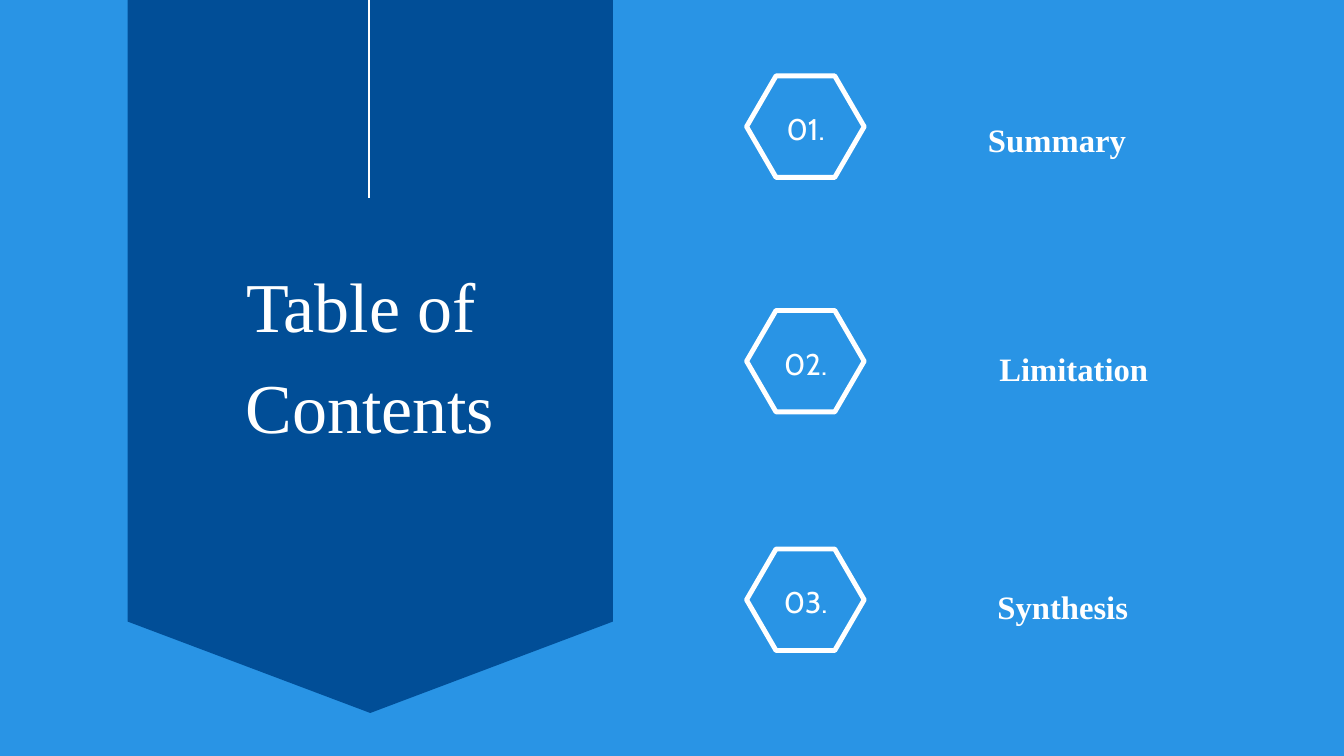
from pptx import Presentation
from pptx.dml.color import RGBColor as RGB
from pptx.enum.shapes import MSO_CONNECTOR as LINE, MSO_SHAPE as SHAPE
from pptx.enum.text import MSO_ANCHOR as ANCHOR, MSO_AUTO_SIZE as FIT, PP_ALIGN as ALIGN
from pptx.oxml.ns import qn
from pptx.util import Inches, Pt

COLORS = {"sky": "2994E5", "navy": "014E97", "white": "FFFFFF"}
SERIF = "Times New Roman"


def color(name):
    return RGB.from_string(COLORS[name])


def write(shape, text, size, face, bold=False, inset=0, anchor=ANCHOR.TOP):
    frame = shape.text_frame
    frame.text = text
    frame.word_wrap = True
    frame.auto_size = FIT.NONE
    frame.vertical_anchor = anchor
    frame.margin_left = frame.margin_right = Inches(inset)
    frame.margin_top = frame.margin_bottom = Inches(inset)
    for para in frame.paragraphs:
        para.alignment = ALIGN.CENTER
        para.line_spacing = 1.2
        para.space_before = Pt(0)
        for run in para.runs:
            run.font.size = Pt(size)
            run.font.name = face
            run.font.bold = bold
            run.font.color.rgb = color("white")


deck = Presentation()
deck.slide_width = Inches(20)
deck.slide_height = Inches(11.25)
slide = deck.slides.add_slide(deck.slide_layouts[5])
slide.background.fill.solid()
slide.background.fill.fore_color.rgb = color("sky")
shapes = slide.shapes

items = [
    ("01.", 1.13, "Summary", 13.85, 1.66, 3.76),
    ("02.", 4.62, "Limitation", 14.1, 5.07, 3.76),
    ("03.", 8.17, "Synthesis", 13.66, 8.62, 4.31),
]
for number, top, label, left, label_top, width in items:
    hexagon = shapes.add_shape(
        SHAPE.HEXAGON, Inches(11.11), Inches(top), Inches(1.75), Inches(1.51))
    hexagon.adjustments[0] = 0.29
    hexagon.shadow.inherit = False
    hexagon.fill.background()
    hexagon.line.color.rgb = color("white")
    hexagon.line.width = Pt(5.25)

    box = shapes.add_textbox(
        Inches(11.36), Inches(top - 0.03), Inches(1.26), Inches(1.53))
    write(box, number, 32, "Cabin", inset=0.06, anchor=ANCHOR.MIDDLE)

    box = shapes.add_textbox(
        Inches(left), Inches(label_top), Inches(width), Inches(0.59))
    write(box, label, 35, SERIF, bold=True)

points = [(9.12, 0), (9.12, 9.25), (5.51, 10.61), (1.9, 9.25)]
pen = shapes.build_freeform(Inches(1.9), Inches(0))
pen.add_line_segments([(Inches(x), Inches(y)) for x, y in points], close=True)
banner = pen.convert_to_shape()
banner.shadow.inherit = False
banner.fill.solid()
banner.fill.fore_color.rgb = color("navy")
banner.line.fill.background()

title = shapes.title
title.left, title.top = Inches(2.05), Inches(3.66)
title.width, title.height = Inches(6.91), Inches(2.51)
write(title, "Table of \nContents", 75, SERIF)
title.element.getparent().append(title.element)

cord = shapes.add_connector(
    LINE.STRAIGHT, Inches(5.49), Inches(0), Inches(5.49), Inches(2.95))
cord.line.color.rgb = color("white")
cord.line.width = Pt(3)
props = cord.element.spPr
props.append(props.makeelement(qn("a:effectLst"), {}))

deck.save("out.pptx")
